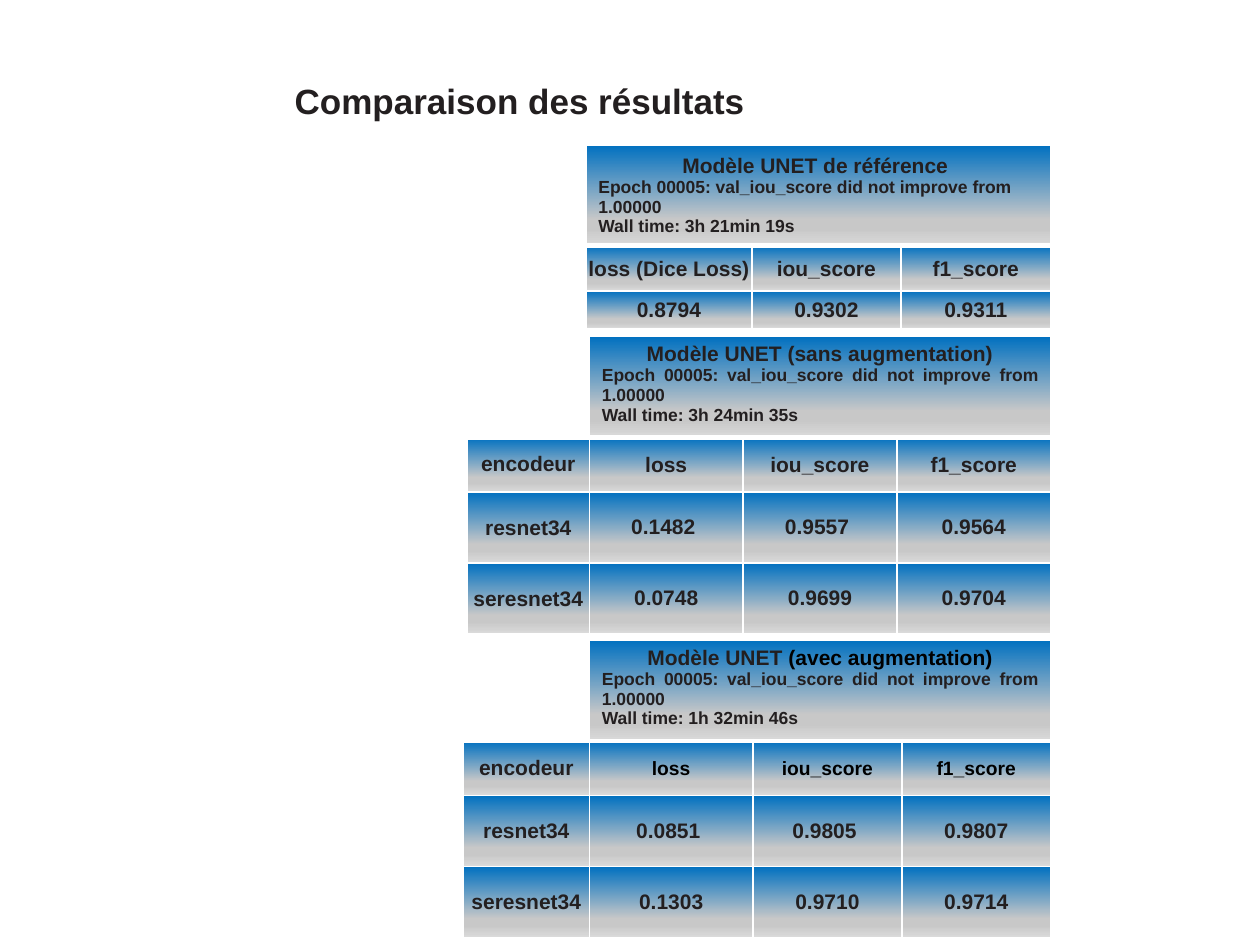
from pptx import Presentation
from pptx.dml.color import RGBColor
from pptx.enum.text import MSO_ANCHOR, PP_ALIGN
from pptx.oxml import parse_xml
from pptx.oxml.ns import nsdecls
from pptx.util import Cm, Pt

INK, BLACK, WHITE = "231F20", "000000", "FFFFFF"
STOPS = [(0, "0070C0"), (74, "C8C8C8"), (83, "C8C8C8"), (100, "DADADA")]
EPOCH = "Epoch 00005: val_iou_score did not improve from 1.00000"


def rgb(value):
    return RGBColor.from_string(value)


class Deck:
    """Holds the style and the current slide, and draws each kind of element."""

    font = "Arial"

    def __init__(self, prs):
        self.s = prs.slides.add_slide(prs.slide_layouts[6])

    def style(self, p, size, align, color=INK):
        p.alignment = align
        p.font.name, p.font.size, p.font.bold = self.font, Pt(size), True
        p.font.color.rgb = rgb(color)

    def title(self, text, left, top, width, height):
        tf = self.s.shapes.add_textbox(Cm(left), Cm(top), Cm(width), Cm(height)).text_frame
        tf.word_wrap = True
        tf.vertical_anchor = MSO_ANCHOR.MIDDLE
        tf.text = text
        self.style(tf.paragraphs[0], 20, PP_ALIGN.LEFT)

    def paint(self, cell, row, filled):
        tc_pr = cell._tc.get_or_add_tcPr()
        widths = {"L": 1, "R": 1, "T": 3 if row == 1 else 1, "B": 3 if row == 0 else 1}
        for side, width in widths.items():
            tc_pr.append(parse_xml(
                f'<a:ln{side} {nsdecls("a")} w="{Pt(width)}"><a:solidFill>'
                f'<a:srgbClr val="{WHITE}"/></a:solidFill></a:ln{side}>'))
        if not filled:
            cell.fill.background()
            return
        stops = "".join(f'<a:gs pos="{pos * 1000}"><a:srgbClr val="{color}"/></a:gs>'
                        for pos, color in STOPS)
        tc_pr.append(parse_xml(
            f'<a:gradFill {nsdecls("a")}><a:gsLst>{stops}</a:gsLst>'
            '<a:lin ang="5400000" scaled="0"/></a:gradFill>'))

    def heading(self, cell, name, detail, time, epoch_align, detail_color):
        tf = cell.text_frame
        p = tf.paragraphs[0]
        self.style(p, 12, PP_ALIGN.CENTER)
        p.add_run().text = name + " "
        r = p.add_run()
        r.text = detail
        r.font.color.rgb = rgb(detail_color)
        for text, align in ((EPOCH, epoch_align), (f"Wall time: {time}", PP_ALIGN.JUSTIFY)):
            p = tf.add_paragraph()
            p.text = text
            self.style(p, 10, align)

    def body(self, cell, text, size, color):
        cell.text = text
        cell.vertical_anchor = MSO_ANCHOR.MIDDLE
        if not text[0].isdigit() and text != "encodeur":
            cell.margin_left = cell.margin_right = cell.margin_top = Cm(0.03)
            cell.margin_bottom = 0
        self.style(cell.text_frame.paragraphs[0], size, PP_ALIGN.CENTER, color)

    def table(self, left, top, cols, rows, heading, grid,
              epoch_align=PP_ALIGN.JUSTIFY, detail_color=INK, metric=(12, INK)):
        table = self.s.shapes.add_table(len(rows), len(cols), Cm(left), Cm(top),
                                        Cm(sum(cols)), Cm(sum(rows))).table
        for column, width in zip(table.columns, cols):
            column.width = Cm(width)
        for row, height in zip(table.rows, rows):
            row.height = Cm(height)
        first = len(cols) - 3
        start = len(cols) - len(grid[0])
        for i in range(len(rows)):
            for j in range(len(cols)):
                self.paint(table.cell(i, j), i, j >= (start if i else first))
        for i, values in enumerate(grid, 1):
            for j, text in enumerate(values, start):
                size, color = metric if i == 1 and j >= first else (12, INK)
                self.body(table.cell(i, j), text, size, color)
        title = table.cell(0, first)
        self.heading(title, *heading, epoch_align, detail_color)
        title.merge(table.cell(0, len(cols) - 1))
        if first:
            table.cell(0, 0).merge(table.cell(0, first - 1))
            table.cell(1, 0).merge(table.cell(len(rows) - 1, 0))
        else:
            title.vertical_anchor = MSO_ANCHOR.MIDDLE


def main():
    prs = Presentation()
    prs.slide_width, prs.slide_height = Cm(25.4), Cm(19.05)
    deck = Deck(prs)
    deck.title("Comparaison des résultats", 5.69, 1.12, 13.51, 1.8)
    deck.table(11.81, 2.92, [3.35, 3, 3.02], [2.03, 0.91, 0.69],
               ("Modèle UNET", "de référence ", "3h 21min 19s"),
               [["loss (Dice Loss)", "iou_score", "f1_score"],
                ["0.8794", "0.9302", "0.9311"]], epoch_align=PP_ALIGN.LEFT)
    rows = [1.9, 1.1, 1.43, 1.43]
    deck.table(6.5, 6.78, [2.92, 2.46, 3.1, 3.1, 3.1], rows,
               ("Modèle UNET", "(sans augmentation)", "3h 24min 35s"),
               [["encodeur", "loss", "iou_score", "f1_score"],
                ["resnet34", "0.1482 ", "0.9557 ", "0.9564"],
                ["seresnet34", "0.0748", "0.9699", "0.9704"]])
    deck.table(6.5, 12.9, [2.84, 2.54, 3.3, 3, 3], rows,
               ("Modèle UNET", "(avec augmentation)", "1h 32min 46s"),
               [["encodeur", "loss", "iou_score", "f1_score"],
                ["resnet34", "0.0851 ", "0.9805 ", "0.9807"],
                ["seresnet34", "0.1303", "0.9710", "0.9714"]],
               detail_color=BLACK, metric=(11, BLACK))
    prs.save("out.pptx")


if __name__ == "__main__":
    main()
